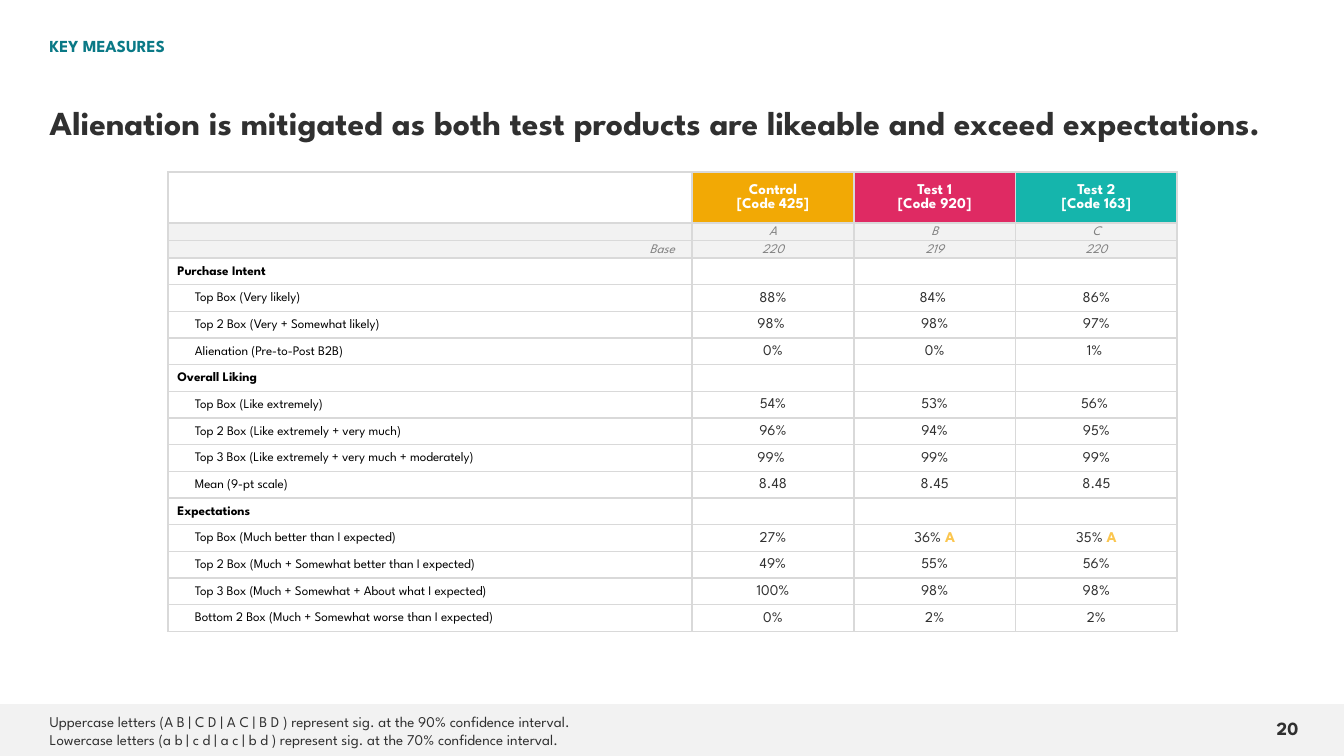
import pptx
import pptx.dml.color
import pptx.enum.shapes
import pptx.enum.text
import pptx.oxml
import pptx.oxml.ns
import pptx.util
from lxml import etree

Inches, Pt = pptx.util.Inches, pptx.util.Pt
ALIGN, ANCHOR = pptx.enum.text.PP_ALIGN, pptx.enum.text.MSO_ANCHOR
FONT = "League Spartan"
COLORS = {"ink": "303030", "teal": "0A7986", "band": "F2F2F2", "grid": "D9D9D9",
          "label": "000000", "muted": "808080", "white": "FFFFFF", "letter": "FBC64F"}

TITLE = "Alienation is mitigated as both test products are likeable and exceed expectations."
NOTES = ["Uppercase letters (A B | C D | A C | B D ) represent sig. at the 90% confidence interval.",
         "Lowercase letters (a b | c d | a c | b d ) represent sig. at the 70% confidence interval."]
PRODUCTS = [("Control\n[Code 425]", "F2A905"), ("Test 1\n[Code 920]", "DF2A63"),
            ("Test 2\n[Code 163]", "15B5AC")]
BASES = [("", "A", "B", "C"), ("Base", "220", "219", "220")]
MEASURES = {
    "Purchase Intent": [
        ("Top Box (Very likely)", "88%", "84% ", "86%"),
        ("Top 2 Box (Very + Somewhat likely)", "98% ", "98%", "97%"),
        ("Alienation (Pre-to-Post B2B)", "0%", "0%", "1% ")],
    "Overall Liking": [
        ("Top Box (Like extremely)", "54%", "53%", "56% "),
        ("Top 2 Box (Like extremely + very much)", "96%", "94%", "95%"),
        ("Top 3 Box (Like extremely + very much + moderately)", "99% ", "99%", "99%"),
        ("Mean (9-pt scale)", "8.48", "8.45", "8.45")],
    "Expectations": [
        ("Top Box (Much better than I expected)", "27%", "36% A", "35% A"),
        ("Top 2 Box (Much + Somewhat better than I expected)", "49%", "55%", "56%"),
        ("Top 3 Box (Much + Somewhat + About what I expected)", "100%", "98%", "98%"),
        ("Bottom 2 Box (Much + Somewhat worse than I expected)", "0%", "2%", "2%")],
}
LEFT, TOP, WIDTH, HEIGHT = 1.25, 1.28, 7.51, 3.42
LABEL_W, HEADER_H, BASE_H = 3.9, 0.38, 0.13


def rgb(name):
    return pptx.dml.color.RGBColor.from_string(COLORS.get(name, name))


def style(tf, size, color, bold=False, italic=False, align=ALIGN.LEFT):
    for p in tf.paragraphs:
        p.alignment = align
        for r in p.runs:
            r.font.name, r.font.size = FONT, Pt(size)
            r.font.bold, r.font.italic = bold, italic
            r.font.color.rgb = rgb(color)


def add_text(s, box, text, size, color, bold=False, align=ALIGN.LEFT, anchor=ANCHOR.TOP):
    tf = s.shapes.add_textbox(*map(Inches, box)).text_frame
    tf.margin_left = tf.margin_top = tf.margin_right = tf.margin_bottom = 0
    tf.word_wrap, tf.vertical_anchor, tf.text = True, anchor, text
    style(tf, size, color, bold, align=align)
    return tf.paragraphs[0]


def add_borders(cell):
    tc_pr = cell._tc.get_or_add_tcPr()
    for i, side in enumerate(("lnL", "lnR", "lnT", "lnB")):
        tc_pr.insert(i, pptx.oxml.parse_xml(
            f'<a:{side} {pptx.oxml.ns.nsdecls("a")} w="{Pt(1)}"><a:solidFill>'
            f'<a:srgbClr val="{COLORS["grid"]}"/></a:solidFill></a:{side}>'))


def fill_cell(cell, text, size, color, fill=None, margins=(0.01, 0.01, 0.01, 0), **fmt):
    tf = cell.text_frame
    tf.text = text
    cell.vertical_anchor = ANCHOR.MIDDLE
    (cell.margin_left, cell.margin_top,
     cell.margin_right, cell.margin_bottom) = map(Inches, margins)
    style(tf, size, color, **fmt)
    if not text:  # an empty cell still takes its line height from its end mark
        end = etree.SubElement(tf.paragraphs[0]._p, pptx.oxml.ns.qn("a:endParaRPr"))
        end.set("sz", str(size * 100))
    if fill:
        cell.fill.solid()
        cell.fill.fore_color.rgb = rgb(fill)
    else:
        cell.fill.background()
    add_borders(cell)


def fill_value(cell, value):
    """Write a value, with its significance letter, if any, highlighted."""
    number, _, letter = value.partition(" ")
    fill_cell(cell, number + " " if letter else value, 8, "ink", align=ALIGN.CENTER)
    if letter:
        r = cell.text_frame.paragraphs[0].add_run()
        r.text = letter
        r.font.name, r.font.size, r.font.bold = FONT, Pt(8), True
        r.font.color.rgb = rgb("letter")


def add_measures_table(s):
    rows = []
    for heading, lines in MEASURES.items():
        rows.append((heading, "", "", ""))
        rows.extend(lines)
    first = 1 + len(BASES)
    table = s.shapes.add_table(first + len(rows), 1 + len(PRODUCTS),
                               *map(Inches, (LEFT, TOP, WIDTH, HEIGHT))).table
    table.first_row = table.horz_banding = False
    value_w = (WIDTH - LABEL_W) / len(PRODUCTS)
    row_h = (HEIGHT - HEADER_H - BASE_H * len(BASES)) / len(rows)
    for i, col in enumerate(table.columns):
        col.width = Inches(value_w if i else LABEL_W)
    heights = [HEADER_H] + [BASE_H] * len(BASES) + [row_h] * len(rows)
    for row, height in zip(table.rows, heights):
        row.height = Inches(height)

    fill_cell(table.cell(0, 0), "", 8, "ink")
    for c, (name, color) in enumerate(PRODUCTS, 1):
        fill_cell(table.cell(0, c), name, 8, "white", color, (0.1, 0.05, 0.1, 0.05),
                  bold=True, align=ALIGN.CENTER)
    for r, base in enumerate(BASES, 1):
        for c, text in enumerate(base):
            fill_cell(table.cell(r, c), text, 7, "muted", "band",
                      (0.01, 0.01, 0.01 if c else 0.13, 0), italic=True,
                      align=ALIGN.CENTER if c else ALIGN.RIGHT)
    for r, (label, *values) in enumerate(rows, first):
        heading = label in MEASURES
        fill_cell(table.cell(r, 0), label, 7, "label", bold=heading,
                  margins=(0.07 if heading else 0.2, 0.01, 0.07, 0))
        for c, value in enumerate(values, 1):
            fill_value(table.cell(r, c), value)


def main():
    prs = pptx.Presentation()
    prs.slide_width = Inches(10)
    prs.slide_height = prs.slide_width * 9 // 16
    s = prs.slides.add_slide(prs.slide_layouts[6])

    footer = s.shapes.add_shape(pptx.enum.shapes.MSO_SHAPE.RECTANGLE,
                                *map(Inches, (0, 5.24, 10, 0.38)))
    footer.height = prs.slide_height - footer.top
    footer.shadow.inherit = False
    footer.fill.solid()
    footer.fill.fore_color.rgb = rgb("band")
    footer.line.fill.background()

    p = add_text(s, (0.37, 0.58, 9.26, 0.48), TITLE, 18, "ink", True, anchor=ANCHOR.BOTTOM)
    p.line_spacing = 0.9
    p = add_text(s, (0.37, 0.28, 9.29, 0.3), "KEY MEASURES", 9, "teal", True)
    p.line_spacing, p.space_before = 0.9, Pt(7.5)
    add_measures_table(s)
    add_text(s, (0.37, 5.25, 7.51, 0.37), "\n".join(NOTES), 8, "ink", anchor=ANCHOR.MIDDLE)
    add_text(s, (9.35, 5.25, 0.31, 0.34), "20", 10, "ink", True, ALIGN.RIGHT, ANCHOR.MIDDLE)
    prs.save("out.pptx")


if __name__ == "__main__":
    main()
